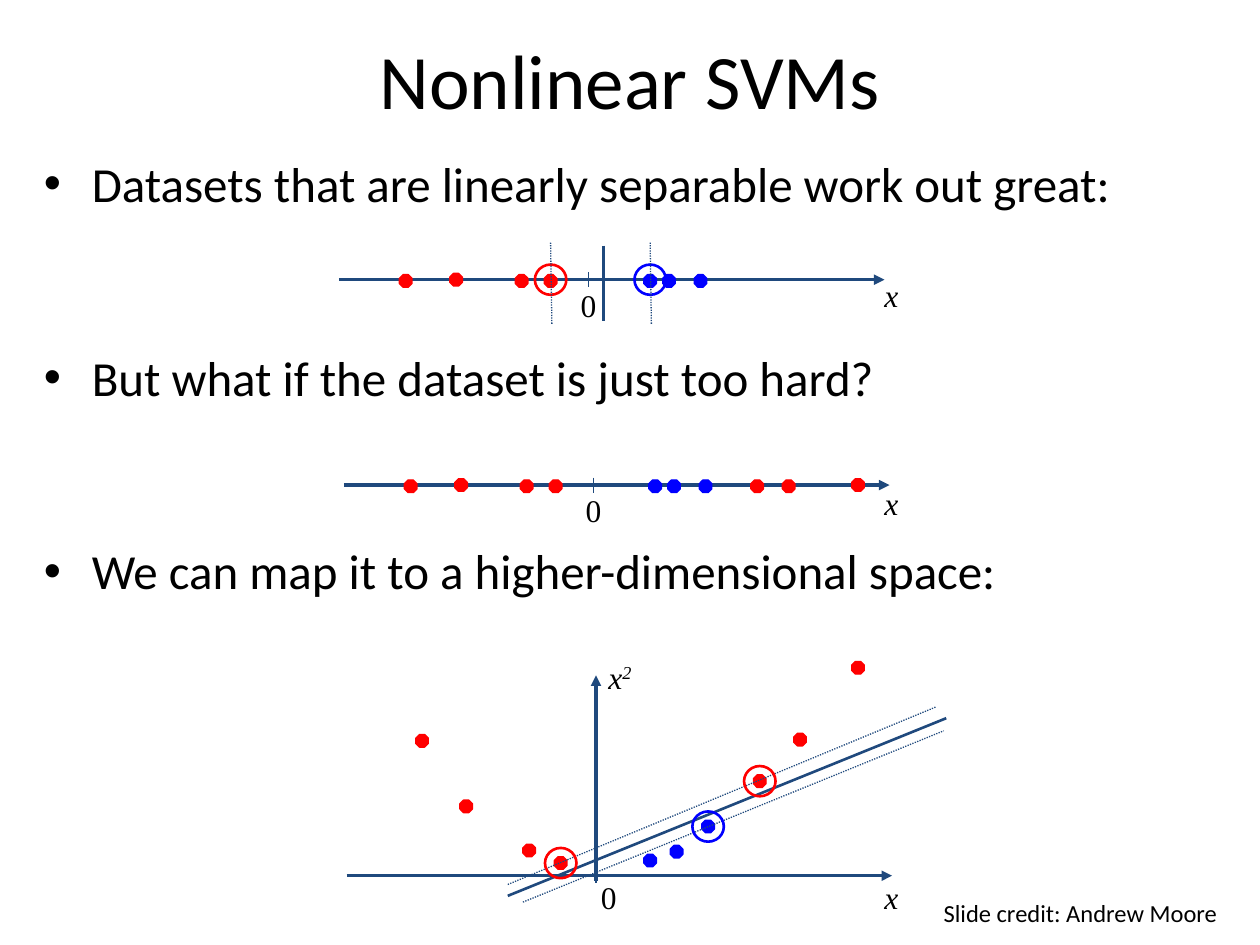
from dataclasses import dataclass

from lxml import etree
from pptx import Presentation
from pptx.dml.color import RGBColor
from pptx.enum.dml import MSO_LINE
from pptx.enum.shapes import MSO_CONNECTOR, MSO_SHAPE
from pptx.enum.text import MSO_ANCHOR, PP_ALIGN
from pptx.oxml.ns import qn
from pptx.util import Inches, Pt

STRAIGHT = MSO_CONNECTOR.STRAIGHT
OCTAGON, OVAL = MSO_SHAPE.OCTAGON, MSO_SHAPE.OVAL
DOTTED = MSO_LINE.ROUND_DOT
MIDDLE = MSO_ANCHOR.MIDDLE
LEFT, CENTER = PP_ALIGN.LEFT, PP_ALIGN.CENTER

SLIDE_W, SLIDE_H = 10, 7.5
RED, BLUE, NAVY, BLACK = "FF0000", "0000FF", "1F497D", "000000"
SANS, SERIF = "Calibri", "Times New Roman"
AXIS_LENGTH, AXIS_ZERO = 4.33, 1.98
DOT, RING_W, RING_H = 0.1, 0.25, 0.24

BULLETS = [
    "Datasets that are linearly separable work out great:",
    "But what if the dataset is just too hard?",
    "We can map it to a higher-dimensional space:",
]
NEGATIVE = [(-1.45, -0.01), (-1.05, 0), (-0.53, -0.01), (-0.3, -0.01)]
POSITIVE = [(0.49, -0.01), (0.64, -0.01), (0.89, -0.01)]
OUTER = [(1.3, -0.01), (1.55, -0.01), (2.1, 0)]
MAPPED_RED = [(-1.38, 1.07), (-1.03, 0.55), (-0.53, 0.2), (-0.28, 0.1),
              (1.3, 0.75), (1.62, 1.08), (2.08, 1.65)]
MAPPED_BLUE = [(0.43, 0.12), (0.64, 0.19), (0.89, 0.39)]


@dataclass
class Box:
    left: float
    top: float
    width: float
    height: float


@dataclass
class Origin:
    """Zero point of an axis; offsets run right and up from it."""
    x: float
    y: float

    def at(self, right, up):
        return self.x + right, self.y - up


def rgb(value):
    return RGBColor.from_string(value)


def add_text(slide, box, text, size, font=SANS, align=LEFT, wrap=True):
    frame = slide.shapes.add_textbox(
        *(Inches(v) for v in (box.left, box.top, box.width, box.height))).text_frame
    frame.word_wrap = wrap
    frame.paragraphs[0].alignment = align
    add_run(frame.paragraphs[0], text, size, font)
    return frame


def add_run(paragraph, text, size, font=SANS):
    run = paragraph.add_run()
    run.text = text
    run.font.size, run.font.name = Pt(size), font
    run.font.color.rgb = rgb(BLACK)
    return run


def add_line(slide, start, end, width, arrow=False, dash=None):
    line = slide.shapes.add_connector(
        STRAIGHT, *(Inches(v) for v in (*start, *end)))
    line.line.color.rgb = rgb(NAVY)
    line.line.width = Pt(width)
    if dash:
        line.line.dash_style = dash
    if arrow:
        etree.SubElement(line.line._get_or_add_ln(), qn("a:tailEnd"), type="triangle")
    etree.SubElement(line._element.spPr, qn("a:effectLst"))


def add_marker(slide, preset, center, width, height, color, weight, filled):
    marker = slide.shapes.add_shape(
        preset, Inches(center[0] - width / 2), Inches(center[1] - height / 2),
        Inches(width), Inches(height))
    marker.shadow.inherit = False
    if filled:
        marker.fill.solid()
        marker.fill.fore_color.rgb = rgb(color)
    else:
        marker.fill.background()
    marker.line.color.rgb = rgb(color)
    marker.line.width = Pt(weight)


def add_dots(slide, origin, points, color):
    for point in points:
        add_marker(slide, OCTAGON, origin.at(*point), DOT, DOT, color, 0.75, True)


def ring_support_vectors(slide, origin, points, color):
    for point in points:
        add_marker(slide, OVAL, origin.at(*point), RING_W, RING_H, color, 1.5, False)


def add_x_axis(slide, origin, zero_at, name_at):
    """Arrow with a tick at zero; labels sit at offsets from the origin."""
    add_line(slide, origin.at(-AXIS_ZERO, 0),
             origin.at(AXIS_LENGTH - AXIS_ZERO, 0), 2, arrow=True)
    add_line(slide, origin.at(0, 0.06), origin.at(0, -0.06), 0.75)
    add_text(slide, Box(*origin.at(*zero_at), 0.38, 0.4), "0", 18, SERIF)
    return add_variable(slide, origin.at(*name_at))


def add_variable(slide, corner):
    paragraph = add_text(slide, Box(*corner, 0.5, 0.4), "x", 18, SERIF).paragraphs[0]
    paragraph.runs[0].font.italic = True
    return paragraph


def add_title(slide, box):
    frame = add_text(slide, box, "Nonlinear SVMs", 44, align=CENTER)
    frame.vertical_anchor = MIDDLE


def add_bullets(slide, box):
    frame = add_text(slide, box, BULLETS[0], 28)
    for text in BULLETS[1:]:
        paragraph = frame.add_paragraph()
        paragraph.space_before = Pt(77)
        add_run(paragraph, text, 28)
    for paragraph in frame.paragraphs:
        props = paragraph._p.get_or_add_pPr()
        props.set("marL", str(Inches(0.38)))
        props.set("indent", str(-Inches(0.38)))
        etree.SubElement(props, qn("a:buFont"), typeface="Arial")
        etree.SubElement(props, qn("a:buChar"), char="•")


def add_separable_line(slide, box):
    origin = Origin(box.left + AXIS_ZERO, box.top + box.height / 2)
    add_x_axis(slide, origin, (-0.16, 0), (2.25, 0.08))
    add_dots(slide, origin, NEGATIVE, RED)
    add_dots(slide, origin, POSITIVE, BLUE)
    add_line(slide, origin.at(0.12, 0.27), origin.at(0.12, -0.33), 1.5)
    for vector, color in ((NEGATIVE[-1], RED), (POSITIVE[0], BLUE)):
        ring_support_vectors(slide, origin, [(vector[0], 0)], color)
        add_line(slide, origin.at(vector[0] + 0.01, -0.35),
                 origin.at(vector[0], 0.3), 0.75, dash=DOTTED)


def add_hard_line(slide, box):
    origin = Origin(box.left + AXIS_ZERO, box.top + box.height / 2)
    add_x_axis(slide, origin, (-0.16, 0), (2.21, 0.06))
    add_dots(slide, origin, NEGATIVE + OUTER, RED)
    add_dots(slide, origin, POSITIVE, BLUE)


def add_mapped_plot(slide, box):
    origin = Origin(box.left + AXIS_ZERO, box.top + box.height)
    add_x_axis(slide, origin, (-0.06, 0.03), (2.19, 0.03))
    add_line(slide, origin.at(0, -0.04), origin.at(0, 1.59), 2, arrow=True)
    y_name = add_variable(slide, origin.at(0, 1.78))
    exponent = add_run(y_name, "2", 18, SERIF)
    exponent.font.italic = True
    exponent.font._element.set("baseline", "30000")
    add_dots(slide, origin, MAPPED_RED, RED)
    add_dots(slide, origin, MAPPED_BLUE, BLUE)
    add_line(slide, origin.at(-0.7, -0.16), origin.at(2.78, 1.25), 1.5)
    for start, end in (((-0.7, -0.07), (2.7, 1.34)), ((-0.58, -0.21), (2.76, 1.15))):
        add_line(slide, origin.at(*start), origin.at(*end), 0.75, dash=DOTTED)
    ring_support_vectors(slide, origin, MAPPED_RED[3:5], RED)
    ring_support_vectors(slide, origin, MAPPED_BLUE[-1:], BLUE)


def main():
    prs = Presentation()
    prs.slide_width, prs.slide_height = Inches(SLIDE_W), Inches(SLIDE_H)
    slide = prs.slides.add_slide(prs.slide_layouts[6])
    add_bullets(slide, Box(0.25, 1.17, 9.58, 5.5))
    add_separable_line(slide, Box(2.69, 1.9, AXIS_LENGTH, 0.64))
    add_hard_line(slide, Box(2.73, 3.53, AXIS_LENGTH, 0.64))
    add_mapped_plot(slide, Box(2.75, 5.25, AXIS_LENGTH, 1.7))
    add_title(slide, Box(0.5, 0, 9, 1.25))
    add_text(slide, Box(7.39, 7.08, 2.53, 0.33),
             "Slide credit: Andrew Moore", 14, wrap=False)
    prs.save("out.pptx")


if __name__ == "__main__":
    main()
